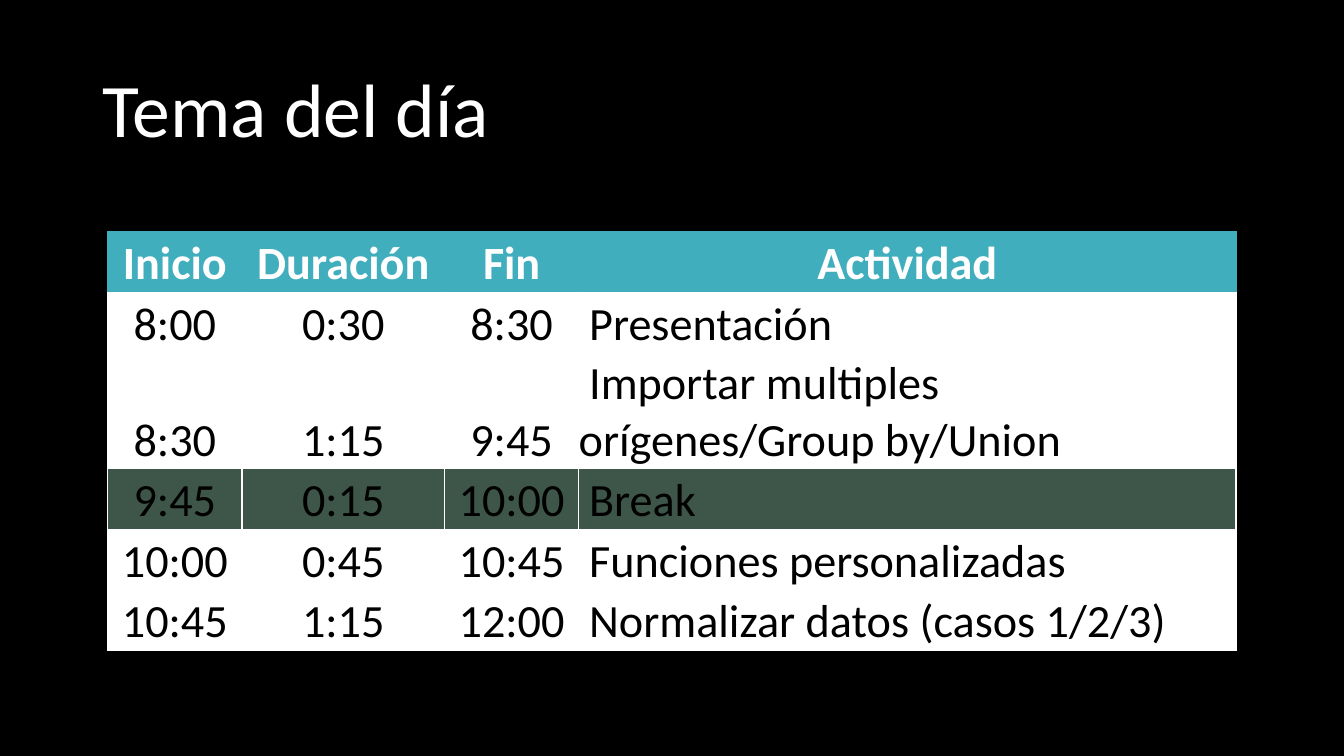
from dataclasses import dataclass

from lxml.etree import SubElement
from pptx import Presentation
from pptx.dml.color import RGBColor
from pptx.enum.text import MSO_ANCHOR, PP_ALIGN
from pptx.oxml.ns import qn
from pptx.util import Inches, Pt

TITLE = "Tema del día"
HEADER = ("Inicio", "Duración", "Fin", "Actividad")
SESSIONS = [
    ("8:00", "0:30", "8:30", " Presentación"),
    ("8:30", "1:15", "9:45", " Importar multiples orígenes/Group by/Union"),
    ("9:45", "0:15", "10:00", " Break"),
    ("10:00", "0:45", "10:45", " Funciones personalizadas"),
    ("10:45", "1:15", "12:00", " Normalizar datos (casos 1/2/3)"),
]
BREAK_ROW = 3
ACTIVITY_COLUMN = 3

SLIDE_SIZE = (13.33, 7.5)
TITLE_BOX = (0.92, 0.4, 11.5, 1.45)
TABLE_ORIGIN = (1.07, 2.3)
COLUMN_WIDTHS = (1.33, 2.01, 1.33, 6.52)
ROW_HEIGHTS = (0.6, 0.6, 1.15, 0.6, 0.6, 0.6)


@dataclass(frozen=True)
class Theme:
    font: str = "Calibri"
    title_size: int = 54
    table_size: int = 33
    border_width: int = 1
    background: str = "000000"
    light: str = "FFFFFF"
    dark: str = "000000"
    header: str = "41AEBD"
    pause: str = "3E5649"


THEME = Theme()


def style_font(paragraph, size, color, bold=False):
    font = paragraph.font
    font.name, font.size, font.bold = THEME.font, Pt(size), bold
    font.color.rgb = RGBColor.from_string(color)


def add_borders(cell, colors):
    """Draw the left, right, top and bottom borders, in that order."""
    properties = cell._tc.get_or_add_tcPr()
    for side, color in zip("LRTB", colors):
        line = SubElement(properties, qn(f"a:ln{side}"), w=str(Pt(THEME.border_width)))
        fill = SubElement(line, qn("a:solidFill"))
        SubElement(fill, qn("a:srgbClr"), val=color)


def format_cell(cell, text, row, column):
    is_header = row == 0
    cell.margin_left = cell.margin_right = cell.margin_top = cell.margin_bottom = 0
    cell.vertical_anchor = MSO_ANCHOR.BOTTOM
    edge = THEME.header if is_header else THEME.light
    add_borders(cell, (edge, edge, edge, THEME.light))
    fill_color = {0: THEME.header, BREAK_ROW: THEME.pause}.get(row, THEME.light)
    cell.fill.solid()
    cell.fill.fore_color.rgb = RGBColor.from_string(fill_color)
    cell.text = text
    paragraph = cell.text_frame.paragraphs[0]
    centred = is_header or column != ACTIVITY_COLUMN
    paragraph.alignment = PP_ALIGN.CENTER if centred else PP_ALIGN.LEFT
    style_font(paragraph, THEME.table_size, THEME.light if is_header else THEME.dark, is_header)


def add_title(slide):
    title = slide.shapes.title
    title.left, title.top, title.width, title.height = map(Inches, TITLE_BOX)
    title.text = TITLE
    title.text_frame.vertical_anchor = MSO_ANCHOR.MIDDLE
    paragraph = title.text_frame.paragraphs[0]
    paragraph.alignment = PP_ALIGN.LEFT
    paragraph.line_spacing = 0.9
    style_font(paragraph, THEME.title_size, THEME.light)


def add_agenda(slide):
    rows = [HEADER, *SESSIONS]
    size = (sum(COLUMN_WIDTHS), sum(ROW_HEIGHTS))
    table = slide.shapes.add_table(
        len(rows), len(HEADER), *map(Inches, TABLE_ORIGIN + size)
    ).table
    table.horz_banding = False
    for column, width in zip(table.columns, COLUMN_WIDTHS):
        column.width = Inches(width)
    for row, height in zip(table.rows, ROW_HEIGHTS):
        row.height = Inches(height)
    for row, texts in enumerate(rows):
        for column, text in enumerate(texts):
            format_cell(table.cell(row, column), text, row, column)


def main():
    presentation = Presentation()
    presentation.slide_width, presentation.slide_height = map(Inches, SLIDE_SIZE)
    slide = presentation.slides.add_slide(presentation.slide_layouts.get_by_name("Title Only"))
    slide.background.fill.solid()
    slide.background.fill.fore_color.rgb = RGBColor.from_string(THEME.background)
    add_title(slide)
    add_agenda(slide)
    presentation.save("out.pptx")


if __name__ == "__main__":
    main()
